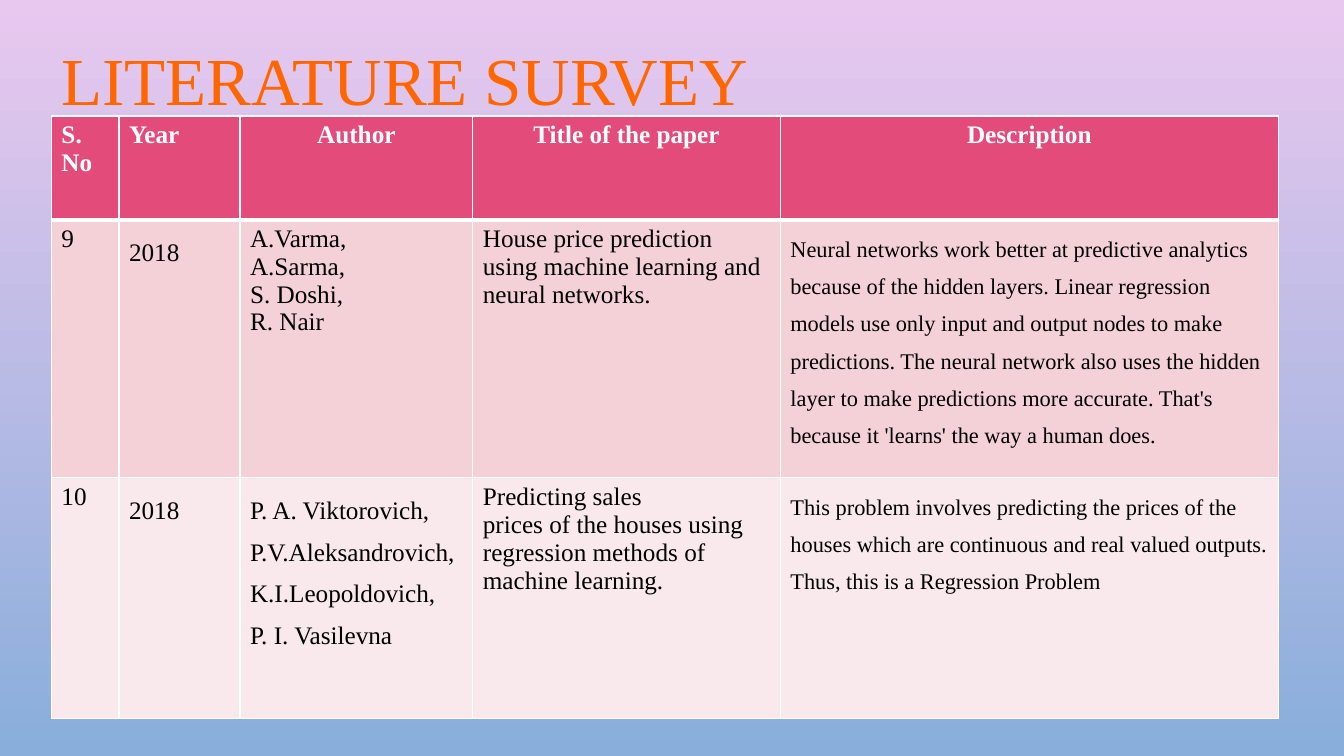
from lxml import etree
from pptx import Presentation
from pptx import util as u
from pptx.dml.color import RGBColor
from pptx.enum import text
from pptx.oxml.ns import qn

W, H = 13.33, 7.5
FONT = "Times New Roman"
COLUMNS = [0.67, 1.2, 2.31, 3.05, 4.94]
ROWS = [1.03, 2.56, 2.39]
FILLS = ["E34B7A", "F4D0D7", "FAE9EC"]
CELLS = [
    ["S. No", "Year", "Author", "Title of the paper", "Description"],
    ["9", "2018", "A.Varma,\nA.Sarma,\nS. Doshi,\nR. Nair",
     "House price prediction using machine learning and neural networks.",
     "Neural networks work better at predictive analytics because of the "
     "hidden layers. Linear regression models use only input and output nodes "
     "to make predictions. The neural network also uses the hidden layer to "
     "make predictions more accurate. That's because it 'learns' the way a "
     "human does."],
    ["10", "2018",
     "P. A. Viktorovich, P.V.Aleksandrovich, K.I.Leopoldovich,\nP. I. Vasilevna",
     "Predicting sales\nprices of the houses using regression methods of\n"
     "machine learning.",
     "This problem involves\u00a0predicting the prices of the houses which are "
     "continuous and real valued outputs. Thus, this is a Regression Problem"],
]
SPACED = {(1, 1), (1, 4), (2, 1), (2, 2), (2, 4)}


def rgb(value):
    return RGBColor.from_string(value)


def write(tf, content, size, color, bold=False, spacing=None, align=None):
    tf.text = content
    for p in tf.paragraphs:
        p.line_spacing = spacing
        p.alignment = align
        for r in p.runs:
            r.font.name = FONT
            r.font.size = u.Pt(size)
            r.font.bold = bold
            r.font.color.rgb = rgb(color)


def add_background(s):
    fill = s.background.fill
    fill.gradient()
    fill.gradient_angle = 270
    for stop, color, position in zip(fill.gradient_stops, ["E9C8EF", "89AEDB"], [0, 1]):
        stop.color.rgb = rgb(color)
        stop.position = position


def add_title(s, content):
    sp = s.shapes.add_textbox(*map(u.Inches, (0.51, 0.42, 10.48, 1.04)))
    tf = sp.text_frame
    tf.word_wrap = True
    tf.vertical_anchor = text.MSO_ANCHOR.TOP
    write(tf, content, 48, "FF6600", spacing=0.9)


def add_borders(cell, row):
    widths = {"L": 1, "R": 1, "T": 3 if row == 1 else 1, "B": 3 if row == 0 else 1}
    for side, width in widths.items():
        line = etree.SubElement(cell._tc.get_or_add_tcPr(), qn(f"a:ln{side}"),
                                w=str(u.Pt(width)))
        solid = etree.SubElement(line, qn("a:solidFill"))
        etree.SubElement(solid, qn("a:srgbClr"), val="FFFFFF")


def fill_cell(cell, row, col):
    header = row == 0
    add_borders(cell, row)
    cell.fill.solid()
    cell.fill.fore_color.rgb = rgb(FILLS[row])
    write(cell.text_frame, CELLS[row][col],
          size=16 if col == 4 and not header else 18,
          color="FFFFFF" if header else "000000",
          bold=header,
          spacing=1.5 if (row, col) in SPACED else None,
          align=text.PP_ALIGN.CENTER if header and col > 1 else None)


def add_survey(s):
    frame = s.shapes.add_table(len(ROWS), len(COLUMNS), u.Inches(0.51), u.Inches(1.15),
                               u.Inches(sum(COLUMNS)), u.Inches(sum(ROWS)))
    table = frame.table
    for column, width in zip(table.columns, COLUMNS):
        column.width = u.Inches(width)
    for row, height in enumerate(ROWS):
        table.rows[row].height = u.Inches(height)
        for col in range(len(COLUMNS)):
            fill_cell(table.cell(row, col), row, col)


def main():
    prs = Presentation()
    prs.slide_width, prs.slide_height = u.Inches(W), u.Inches(H)
    s = prs.slides.add_slide(prs.slide_layouts[6])
    add_background(s)
    add_title(s, "LITERATURE SURVEY")
    add_survey(s)
    prs.save("out.pptx")


main()
